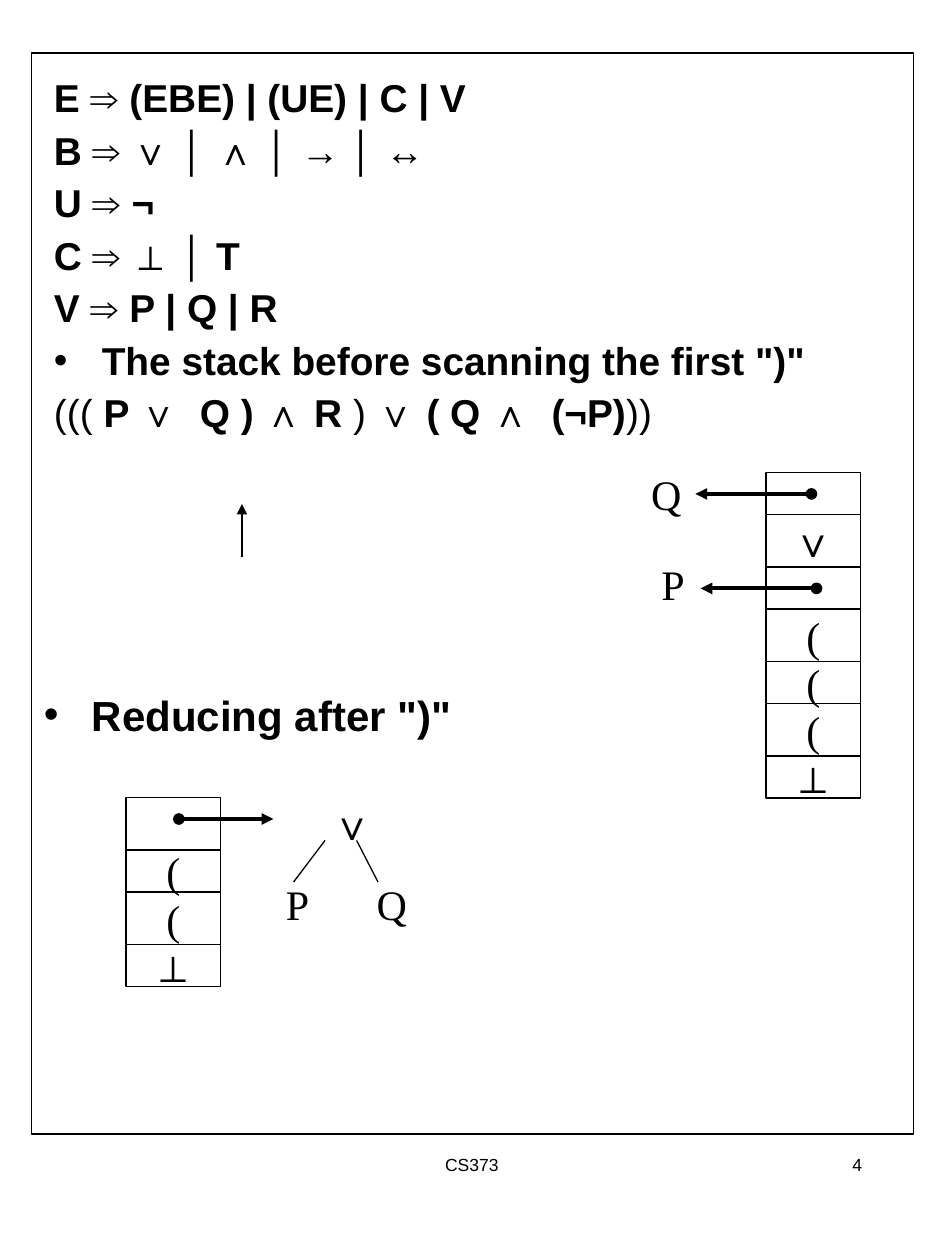
from lxml import etree
from pptx import Presentation, util as u
from pptx.dml.color import RGBColor
from pptx.enum import shapes, text
from pptx.oxml.ns import qn

COLORS = {"ink": "000000"}
SERIF = "Times New Roman"
THIN, THICK = 0.74, 2.24
SHORT, TALL = 4 / 12, 5 / 12
HANG = 0.38
CENTER = text.PP_ALIGN.CENTER


def ink():
    """Return the ink colour."""
    return RGBColor.from_string(COLORS["ink"])


def write(frame, paragraphs, size=24, font="Arial", bold=False, align=None, before=0,
          spacing=None, hang=0, wrap=True, grow=False, anchor=text.MSO_ANCHOR.TOP):
    """Fill a frame with paragraphs; each is a string or a (runs, bulleted) pair."""
    frame.word_wrap = wrap
    frame.vertical_anchor = anchor
    frame.auto_size = text.MSO_AUTO_SIZE.SHAPE_TO_FIT_TEXT if grow else text.MSO_AUTO_SIZE.NONE
    for index, content in enumerate(paragraphs):
        runs, bulleted = ([(content, bold)], False) if isinstance(content, str) else content
        paragraph = frame.add_paragraph() if index else frame.paragraphs[0]
        paragraph.alignment = align
        paragraph.space_before = u.Pt(before)
        paragraph.line_spacing = spacing
        if hang:
            properties = paragraph._p.get_or_add_pPr()
            properties.set("marL", str(u.Inches(hang)))
            properties.set("indent", str(-u.Inches(hang)))
            if bulleted:
                etree.SubElement(properties, qn("a:buFont")).set("typeface", "Arial")
                etree.SubElement(properties, qn("a:buChar")).set("char", "\u2022")
        for words, heavy in runs:
            run = paragraph.add_run()
            run.text = words
            run.font.size = u.Pt(size)
            run.font.name = font
            run.font.bold = heavy
            run.font.color.rgb = ink()


def add_label(slide, place, paragraphs, **style):
    """Add a text box."""
    label = slide.shapes.add_textbox(*map(u.Inches, place))
    write(label.text_frame, paragraphs, **style)


def add_box(slide, place):
    """Add an unfilled outlined rectangle."""
    box = slide.shapes.add_shape(shapes.MSO_SHAPE.RECTANGLE, *map(u.Inches, place))
    box.shadow.inherit = False
    box.fill.background()
    box.line.color.rgb = ink()
    box.line.width = u.Pt(THIN)
    return box


def add_line(slide, start, end, width=THIN, head=None, tail=None):
    """Add a straight line with optional ends."""
    line = slide.shapes.add_connector(shapes.MSO_CONNECTOR.STRAIGHT, *map(u.Inches, start + end))
    line.line.color.rgb = ink()
    line.line.width = u.Pt(width)
    outline = line.line._get_or_add_ln()
    for tag, kind in (("a:headEnd", head), ("a:tailEnd", tail)):
        if kind:
            etree.SubElement(outline, qn(tag)).set("type", kind)
    etree.SubElement(line._element.spPr, qn("a:effectLst"))


def add_stack(slide, left, top, symbols, heights):
    """Stack cells downwards with alternating heights."""
    for index, symbol in enumerate(symbols):
        height = heights[index % 2]
        cell = add_box(slide, (left, top, 0.75, height))
        if symbol:
            write(cell.text_frame, [symbol], font=SERIF if symbol == "(" else "Arial",
                  align=CENTER, wrap=False, anchor=text.MSO_ANCHOR.MIDDLE)
        top += height


def add_pointer(slide, start, end):
    """Add a heavy pointer from a stack cell to its tree."""
    add_line(slide, start, end, THICK, "oval", "triangle")


def main():
    """Build the parsing stack slide."""
    deck = Presentation()
    deck.slide_width, deck.slide_height = u.Inches(7.5), u.Inches(10)
    slide = deck.slides.add_slide(deck.slide_layouts[6])

    add_box(slide, (0.25, 0.42, 7, 8.58))
    add_label(slide, (0.25, 5.42, 6.75, 2.42), [([('Reducing after ")"', True)], True)],
              before=6, hang=HANG)
    expression = [("((( ", False), ("P ∨  Q ) ∧ R ", True), (") ", False),
                  ("∨ ( Q ∧  (¬P)", True), ("))", False)]
    grammar = ["E ⇒ (EBE) | (UE) | C | V", "B ⇒ ∨ │ ∧ │ → │ ↔", "U ⇒ ¬", "C ⇒ ⊥ │ Τ",
               "V ⇒ P | Q | R",
               ([('The stack before scanning the first ")"', True)], True),
               (expression, False)]
    add_label(slide, (0.33, 0.58, 6.83, 3.33), grammar, size=22.2, bold=True,
              before=6, spacing=0.9, hang=HANG)
    add_line(slide, (1.92, 4), (1.92, 4.42), head="triangle")

    add_stack(slide, 6.08, 3.75, ["", "∨", "", "(", "(", "(", "⊥"], (SHORT, TALL))
    add_pointer(slide, (6.44, 3.92), (5.52, 3.92))
    add_pointer(slide, (6.48, 4.67), (5.56, 4.67))

    add_stack(slide, 1, 6.33, ["", "(", "(", "⊥"], (TALL, SHORT))
    add_pointer(slide, (1.42, 6.5), (2.17, 6.5))
    add_line(slide, (2.58, 6.67), (2.33, 7))
    add_line(slide, (2.83, 6.67), (3, 7))

    for node, left, top, width, font in (
            ("P", 5.15, 4.38, 0.38, SERIF), ("Q", 5.07, 3.67, 0.52, SERIF),
            ("∨", 2.53, 6.29, 0.31, "Arial"), ("P", 2.17, 6.92, 0.38, SERIF),
            ("Q", 2.89, 6.92, 0.44, SERIF)):
        add_label(slide, (left, top, width, 0.5), [node], font=font, wrap=False, grow=True)

    add_label(slide, (2.56, 9.11, 2.37, 0.67), ["CS373"], size=10, align=CENTER)
    add_label(slide, (5.38, 9.11, 1.56, 0.67), ["4"], size=10, align=text.PP_ALIGN.RIGHT)
    deck.save("out.pptx")


main()
